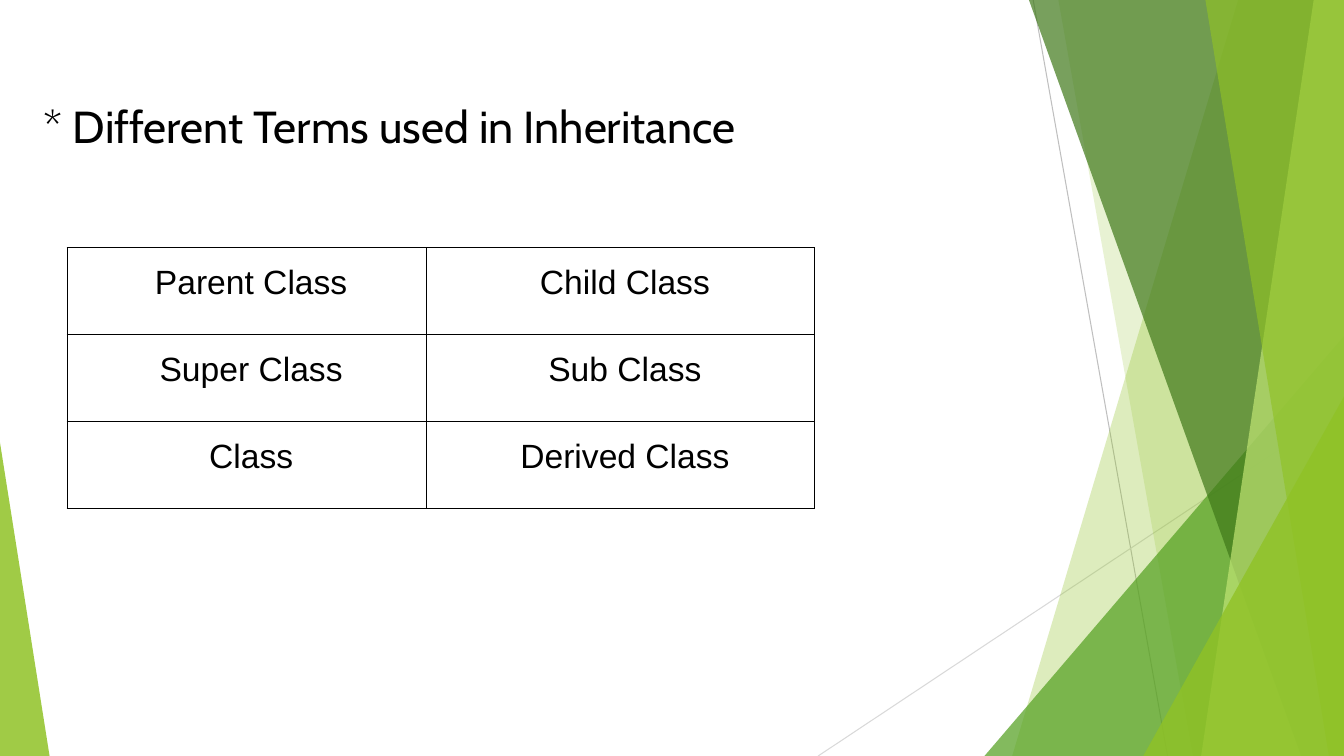
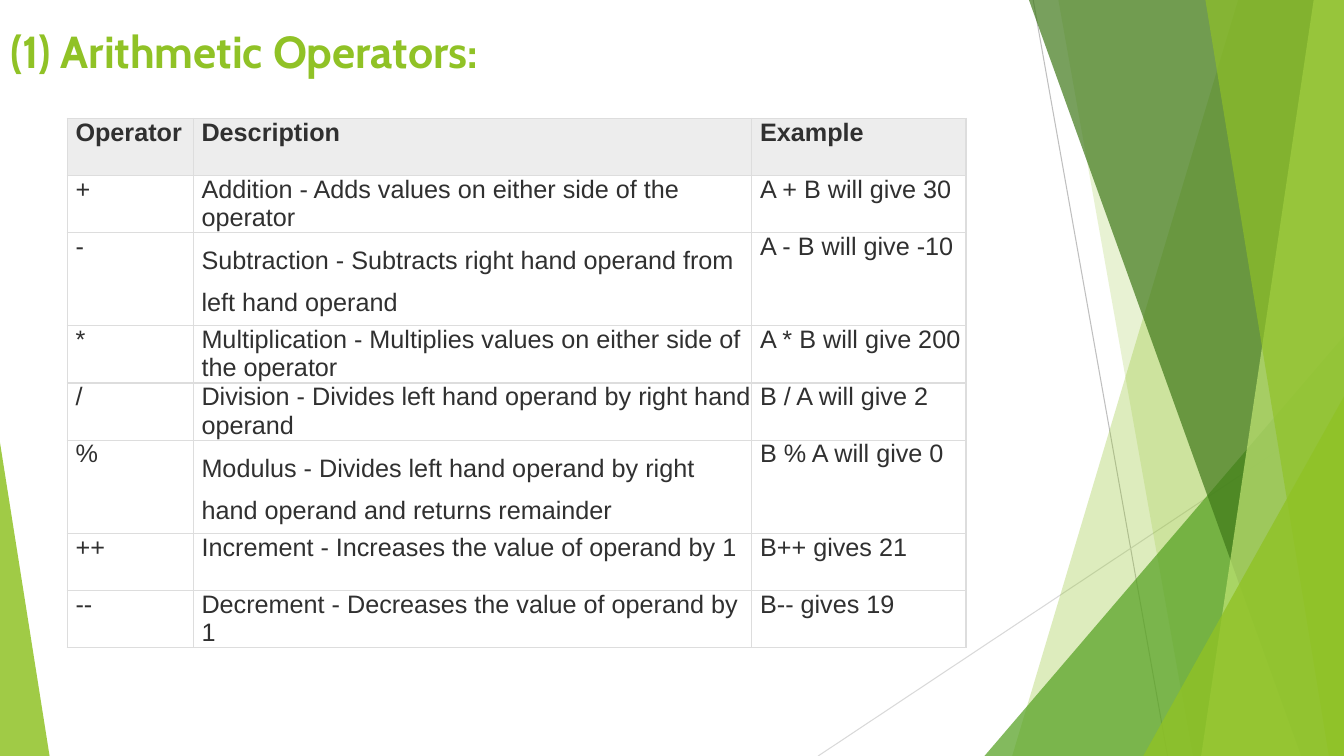
import pptx
import pptx.util
import pptx.dml.color
import pptx.enum.shapes
import pptx.enum.text
import pptx.oxml
import pptx.oxml.ns

COLUMNS, ROWS = 160, 90
UNIT = pptx.util.Inches(1) / 12
TITLE_ONLY = 5

COLOURS = {
    "lime": "90C226",
    "pale": "C0E474",
    "green": "54A021",
    "forest": "3F7819",
    "steep line": "BFBFBF",
    "flat line": "D9D9D9",
    "black": "000000",
    "ink": "303030",
    "header": "EDEDED",
    "rule": "DDDDDD",
}

# Straight lines: start, end, colour
LINES = [
    ((123, 0), (139, 90), "steep line"),
    ((160, 48.4), (97.4, 90), "flat line"),
]

# Bands reach from a slanted left edge (top x, bottom x) to the right of the slide.
# Triangles stand on the bottom: left, top, width, apex (0 left, 1 right).
BACKDROP = [
    ("band", (147.4, 120.5), "lime", 30),
    ("band", (126, 142), "lime", 20),
    ("triangle", (117.2, 40, 42.8, 1), "green", 72),
    ("band", (122.5, 154.9), "forest", 70),
    ("band", (156.4, 143), "pale", 70),
    ("band", (143.5, 158.2), "lime", 65),
    ("triangle", (136.1, 47.2, 23.9, 1), "lime", 80),
    ("triangle", (0, 52.7, 5.9, 0), "lime", 85),
]

TERMS = [
    ("Parent Class", "Child Class"),
    ("Super Class", "Sub Class"),
    ("Class", "Derived Class"),
]

OPERATORS = [
    ("Operator", "Description", "Example"),
    ("+", "Addition - Adds values on either side of the operator", "A + B will give 30"),
    ("-", "Subtraction - Subtracts right hand operand from left hand operand",
     "A - B will give -10"),
    ("*", "Multiplication - Multiplies values on either side of the operator",
     "A * B will give 200"),
    ("/", "Division - Divides left hand operand by right hand operand",
     "B / A will give 2"),
    ("%", "Modulus - Divides left hand operand by right hand operand and returns remainder",
     "B % A will give 0"),
    ("++", "Increment - Increases the value of operand by 1", "B++ gives 21"),
    ("--", "Decrement - Decreases the value of operand by 1", "B-- gives 19"),
]
LOOSE_ROWS = (2, 5)


def grid(*lengths):
    """Turn grid units into slide lengths."""
    return [pptx.util.Emu(round(length * UNIT)) for length in lengths]


def colour(name):
    return pptx.dml.color.RGBColor.from_string(COLOURS[name])


def add_xml(parent, tag, **attributes):
    child = parent.makeelement(pptx.oxml.ns.qn(tag), attributes)
    parent.append(child)
    return child


class Deck:
    """Holds the style, the presentation and the current page."""

    def __init__(self):
        self.deck = pptx.Presentation()
        self.deck.slide_width, self.deck.slide_height = grid(COLUMNS, ROWS)
        self.layout = self.deck.slide_layouts[TITLE_ONLY]
        self.page = None

    def add_page(self):
        self.page = self.deck.slides.add_slide(self.layout)

    def set_backdrop(self):
        """Draw the backdrop on the current page and move it to the layout."""
        parts = [self.line(*line) for line in LINES]
        for kind, place, name, opacity in BACKDROP:
            draw = self.band if kind == "band" else self.triangle
            parts.append(self.paint(draw(*place), name, opacity))
        tree = self.layout.shapes.element
        for index, part in enumerate(parts):
            part.element.xpath(".//p:cNvPr")[0].set("id", str(100 + index))
            tree.insert(2 + index, part.element)

    def line(self, start, end, name):
        line = self.page.shapes.add_connector(
            pptx.enum.shapes.MSO_CONNECTOR.STRAIGHT, *grid(*start, *end))
        line.line.color.rgb = colour(name)
        line.line.width = pptx.util.Pt(0.75)
        add_xml(line.element.spPr, "a:effectLst")
        return line

    def band(self, top, bottom):
        corners = [(top, 0), (COLUMNS, 0), (COLUMNS, ROWS), (bottom, ROWS)]
        points = [grid(*corner) for corner in corners]
        outline = self.page.shapes.build_freeform(*points[0])
        outline.add_line_segments(points[1:], close=True)
        return outline.convert_to_shape()

    def triangle(self, left, top, width, apex):
        shape = self.page.shapes.add_shape(
            pptx.enum.shapes.MSO_SHAPE.ISOSCELES_TRIANGLE,
            *grid(left, top, width, ROWS - top))
        shape.adjustments[0] = apex
        return shape

    def paint(self, shape, name, opacity):
        """Fill a shape with a see-through colour; opacity is in percent."""
        shape.shadow.inherit = False
        shape.line.fill.background()
        shape.fill.solid()
        shape.fill.fore_color.rgb = colour(name)
        tint = shape.element.spPr.find(".//" + pptx.oxml.ns.qn("a:srgbClr"))
        add_xml(tint, "a:alpha", val=str(opacity * 1000))
        return shape

    def title(self, text, place, name, bold, anchor):
        title = self.page.shapes.title
        title.left, title.top, title.width, title.height = grid(*place)
        frame = title.text_frame
        frame.text = text
        frame.word_wrap = True
        frame.auto_size = pptx.enum.text.MSO_AUTO_SIZE.NONE
        frame.vertical_anchor = anchor
        para = frame.paragraphs[0]
        para.alignment = pptx.enum.text.PP_ALIGN.LEFT
        self.style(para, "Cabin", 32, name, bold)

    def table(self, texts, corner, widths, heights, rule):
        """Add a table without its banded style and return it."""
        table = self.page.shapes.add_table(
            len(texts), len(widths), *grid(*corner, sum(widths), sum(heights))).table
        table.first_row = table.horz_banding = False
        for column, width in zip(table.columns, grid(*widths)):
            column.width = width
        for row, height, row_texts in zip(table.rows, grid(*heights), texts):
            row.height = height
            for cell, text in zip(row.cells, row_texts):
                cell.text = text
                cell.margin_left = grid(1)[0]
                cell.margin_right = cell.margin_top = cell.margin_bottom = 0
                self.border(cell, rule)
                cell.fill.background()
        return table

    def border(self, cell, name):
        properties = cell._tc.get_or_add_tcPr()
        for side in "LRTB":
            edge = add_xml(properties, "a:ln" + side, w=str(pptx.util.Pt(1)))
            add_xml(add_xml(edge, "a:solidFill"), "a:srgbClr", val=COLOURS[name])

    def style(self, para, face, size, name, bold=False):
        para.font.name = face
        para.font.size = pptx.util.Pt(size)
        para.font.bold = bold
        para.font.color.rgb = colour(name)


def add_terms(deck):
    deck.title("* Different Terms used in Inheritance", (4, 5, 115, 19.8),
               "black", False, pptx.enum.text.MSO_ANCHOR.MIDDLE)
    table = deck.table(TERMS, (8, 29.5), (42.8, 46.2), [10.35] * len(TERMS), "black")
    for cell in table.iter_cells():
        cell.vertical_anchor = pptx.enum.text.MSO_ANCHOR.MIDDLE
        para = cell.text_frame.paragraphs[0]
        para.alignment = pptx.enum.text.PP_ALIGN.CENTER
        para.line_spacing = pptx.util.Pt(15.1)
        deck.style(para, "Arial", 24, "black")


def add_operators(deck):
    deck.title("(1) Arithmetic Operators:", (0, 2.2, 120, 12),
               "lime", True, pptx.enum.text.MSO_ANCHOR.TOP)
    heights = [11.1 if index in LOOSE_ROWS else 6.8 for index in range(len(OPERATORS))]
    table = deck.table(OPERATORS, (8, 14.1), (15, 66.5, 25.5), heights, "rule")
    for index, row in enumerate(table.rows):
        for cell in row.cells:
            deck.style(cell.text_frame.paragraphs[0], "Arial", 18, "ink", index == 0)
    for cell in table.rows[0].cells:
        cell.fill.solid()
        cell.fill.fore_color.rgb = colour("header")
    for index in LOOSE_ROWS:
        table.cell(index, 1).text_frame.paragraphs[0].line_spacing = 1.5


def main():
    deck = Deck()
    deck.add_page()
    deck.set_backdrop()
    add_terms(deck)
    deck.add_page()
    add_operators(deck)
    deck.deck.save("out.pptx")


if __name__ == "__main__":
    main()
